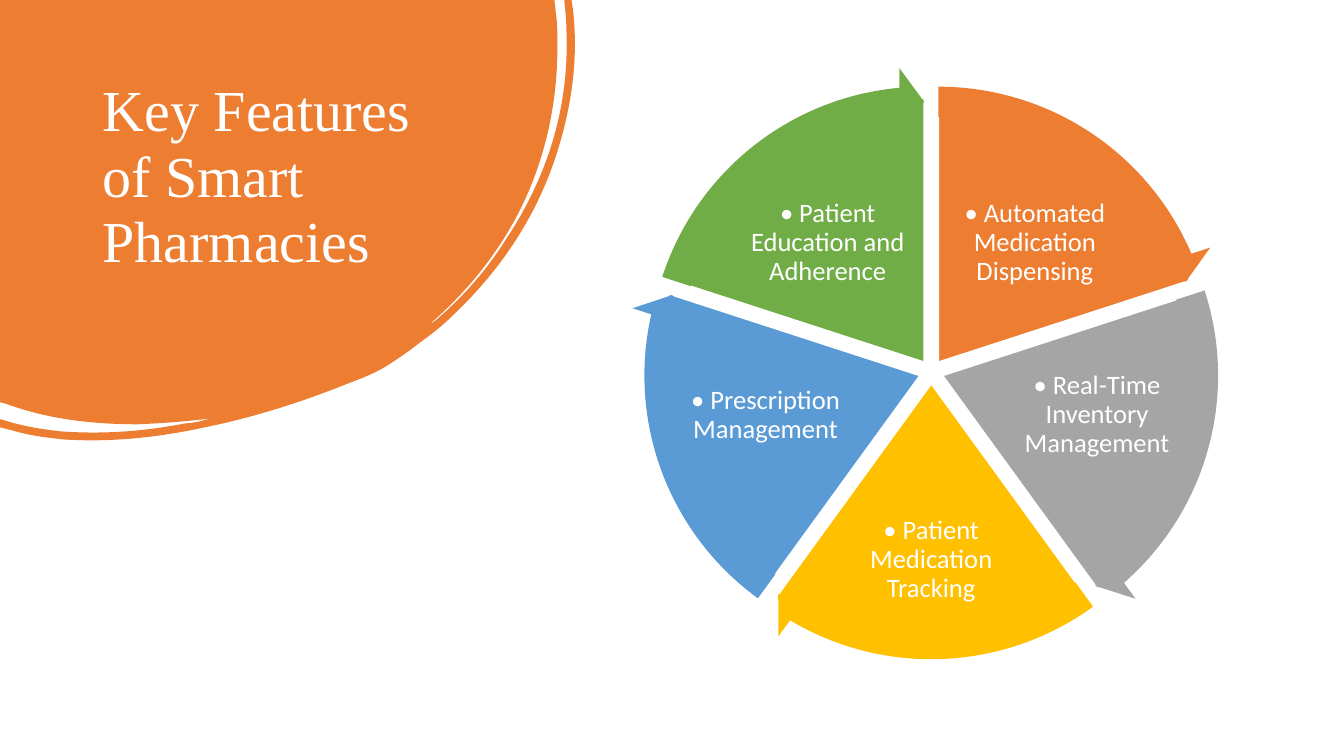
import math

import pptx
import pptx.dml.color
import pptx.enum.shapes
import pptx.enum.text
import pptx.oxml.ns
import pptx.util
from lxml import etree

Pt = pptx.util.Pt

COLORS = {
    "orange": "ED7D31",
    "gray": "A5A5A5",
    "yellow": "FFC000",
    "blue": "5B9BD5",
    "green": "70AD47",
    "white": "FFFFFF",
}

# Outline in points from the box corner: pairs are lines, sixes are Bezier curves.
BLOB_OUTLINE = [
    (396, 0), (397.4, 12.2),
    (398.2, 18.7, 398.2, 25.9, 398.2, 32.4),
    (398.2, 72.7, 390.2, 110.9, 373, 146.9),
    (357.1, 179.3, 334.8, 207.4, 307.4, 231.1),
    (308.9, 231.1, 309.6, 229.7, 311, 229),
    (330.5, 212.4, 347, 193.7, 360.7, 172.1),
    (391, 126.7, 406.8, 77, 404.6, 21.6),
    (404.6, 15.1, 403.9, 8.6, 403.2, 2.2),
    (403.2, 0), (408.2, 0), (409, 5),
    (413.3, 38.9, 409, 73.4, 398.2, 108),
    (383.8, 154.1, 357.8, 193, 322.6, 226.1),
    (316.1, 232.6, 308.9, 238.3, 301.7, 243.4),
    (294.5, 249.1, 287.3, 254.2, 278.6, 259.9),
    (270, 265.7, 259.2, 270, 247.7, 274.3),
    (215.3, 287.3, 181.4, 298.1, 146.2, 305.3),
    (113, 312.5, 79.2, 316.1, 45.4, 313.9),
    (32.4, 312.5, 20.2, 311, 8.6, 307.4),
    (0, 305.3), (0, 299.5), (2.9, 300.2),
    (16.6, 304.6, 30.2, 306.7, 43.9, 308.2),
    (74.2, 310.3, 103, 308.2, 132.5, 302.4),
    (136.1, 302.4, 139, 301.7, 142.6, 301),
    (145.4, 300.2, 148.3, 299.5, 151.2, 298.8),
    (133.9, 301, 115.9, 302.4, 97.9, 303.1),
    (66.2, 303.1, 34.6, 299.5, 5, 288.7),
    (0, 287.3),
]

# Colour, text, and label box (left, top, width, height) from the wheel centre.
FEATURES = [
    ("orange", "• Automated Medication Dispensing", (13.5, -132.5, 121, 80.6)),
    ("gray", "• Real-Time Inventory Management", (62.6, -13.7, 111.6, 89.3)),
    ("yellow", "• Patient Medication Tracking", (-53.7, 85, 107.3, 98.6)),
    ("blue", "• Prescription Management", (-174.2, -13.7, 111.6, 89.3)),
    ("green", "• Patient Education and Adherence", (-134.5, -132.5, 121, 80.6)),
]
ARROW_SCALE = 1.12
ARROW_HEAD_ANGLE = 5.46
SLICE_OFFSET = 8.64


def rgb(name):
    return pptx.dml.color.RGBColor.from_string(COLORS[name])


def fill_shape(shape, color, line_color=None):
    shape.shadow.inherit = False
    shape.fill.solid()
    shape.fill.fore_color.rgb = rgb(color)
    if line_color:
        shape.line.color.rgb = rgb(line_color)
        shape.line.width = Pt(1)
    else:
        shape.line.fill.background()


def format_text(paragraph, font_name, size, spacing):
    paragraph.line_spacing = spacing
    for run in paragraph.runs:
        run.font.name = font_name
        run.font.size = Pt(size)
        run.font.color.rgb = rgb("white")


def bend_lines(shape, segments):
    """Turn the straight segments that have control points into Bezier curves."""
    qn = pptx.oxml.ns.qn
    lines = list(shape.element.iter(qn("a:lnTo")))
    for line, segment in zip(lines, segments):
        if len(segment) == 2:
            continue
        curve = etree.Element(qn("a:cubicBezTo"))
        for x, y in zip(segment[:4:2], segment[1:4:2]):
            etree.SubElement(curve, qn("a:pt"), x=str(int(Pt(x))), y=str(int(Pt(y))))
        curve.append(line[0])
        line.getparent().replace(line, curve)


def add_blob(slide, left, top):
    builder = slide.shapes.build_freeform(Pt(left), Pt(top))
    ends = [(Pt(left + segment[-2]), Pt(top + segment[-1])) for segment in BLOB_OUTLINE]
    builder.add_line_segments(ends, close=True)
    blob = builder.convert_to_shape()
    bend_lines(blob, BLOB_OUTLINE)
    fill_shape(blob, "orange")


def add_title(slide, left, top, width, height):
    """Fill the title placeholder and bring it in front of the blob."""
    title = slide.shapes.title
    title.element.getparent().append(title.element)
    title.left, title.top, title.width, title.height = map(Pt, (left, top, width, height))
    frame = title.text_frame
    frame.text = "Key Features of Smart Pharmacies"
    frame.word_wrap = True
    frame.auto_size = pptx.enum.text.MSO_AUTO_SIZE.NONE
    frame.vertical_anchor = pptx.enum.text.MSO_ANCHOR.TOP
    paragraph = frame.paragraphs[0]
    paragraph.alignment = pptx.enum.text.PP_ALIGN.LEFT
    format_text(paragraph, "Times New Roman", 41.4, 0.94)


def add_round_shape(slide, kind, center_x, center_y, diameter, adjustments):
    radius = diameter / 2
    shape = slide.shapes.add_shape(
        kind, Pt(center_x - radius), Pt(center_y - radius), Pt(diameter), Pt(diameter))
    for index, value in enumerate(adjustments):
        shape.adjustments[index] = value
    return shape


def add_label(slide, text, left, top, width, height):
    frame = slide.shapes.add_textbox(*map(Pt, (left, top, width, height))).text_frame
    frame.text = text
    frame.word_wrap = True
    frame.vertical_anchor = pptx.enum.text.MSO_ANCHOR.MIDDLE
    frame.margin_left = frame.margin_right = Pt(2)
    frame.margin_top = frame.margin_bottom = Pt(2)
    frame.paragraphs[0].alignment = pptx.enum.text.PP_ALIGN.CENTER
    format_text(frame.paragraphs[0], "Calibri", 19, 0.9)


def add_wheel(slide, left, top, diameter):
    """Draw the slices with labels, then the arrows around their rims."""
    kinds = pptx.enum.shapes.MSO_SHAPE
    center_x, center_y = left + diameter / 2, top + diameter / 2
    sweep = 360 / len(FEATURES)
    unit = 0.6  # adjustment value of one degree
    arrows = []
    for index, (color, text, label_box) in enumerate(FEATURES):
        start = (270 + index * sweep) % 360
        end = (start + sweep) % 360
        middle = math.radians(start + sweep / 2)
        x = center_x + SLICE_OFFSET * math.cos(middle)
        y = center_y + SLICE_OFFSET * math.sin(middle)
        piece = add_round_shape(
            slide, kinds.PIE, x, y, diameter, (start * unit, end * unit))
        fill_shape(piece, color, "white")
        label_left, label_top, width, height = label_box
        add_label(slide, text, center_x + label_left, center_y + label_top, width, height)
        arrows.append((color, x, y, start, end))
    for color, x, y, start, end in arrows:
        head = ARROW_HEAD_ANGLE * unit
        arrow = add_round_shape(
            slide, kinds.CIRCULAR_ARROW, x, y, diameter * ARROW_SCALE,
            (0.051, head, end * unit - head, start * unit, 0.059))
        fill_shape(arrow, color)


def main():
    presentation = pptx.Presentation()
    presentation.slide_width = Pt(960)
    presentation.slide_height = Pt(540)
    slide = presentation.slides.add_slide(presentation.slide_layouts[5])
    add_blob(slide, 0, 0)
    add_title(slide, 66.2, 53.3, 253.4, 159.8)
    add_wheel(slide, 477, 77.4, 376.4)
    presentation.save("out.pptx")


if __name__ == "__main__":
    main()
